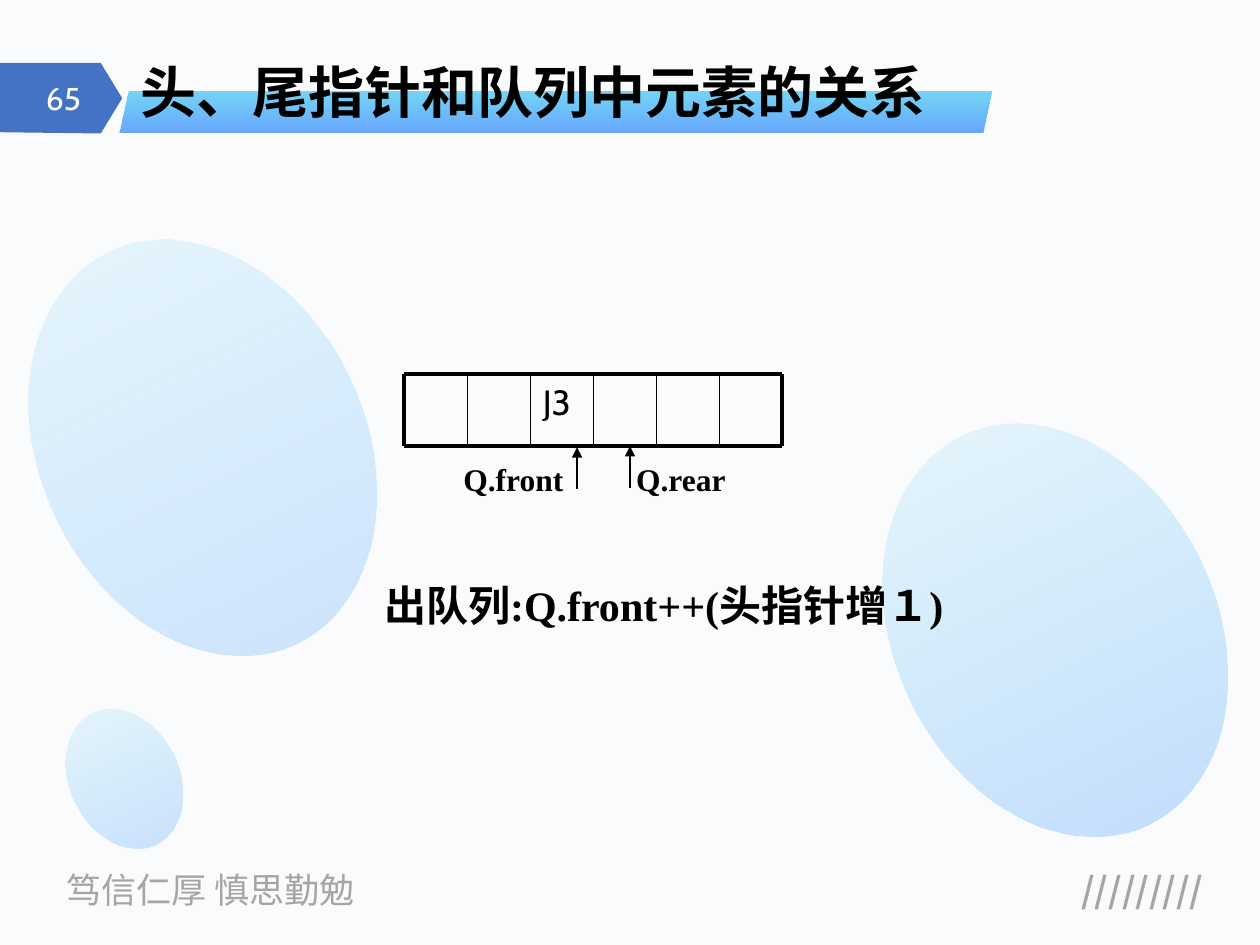
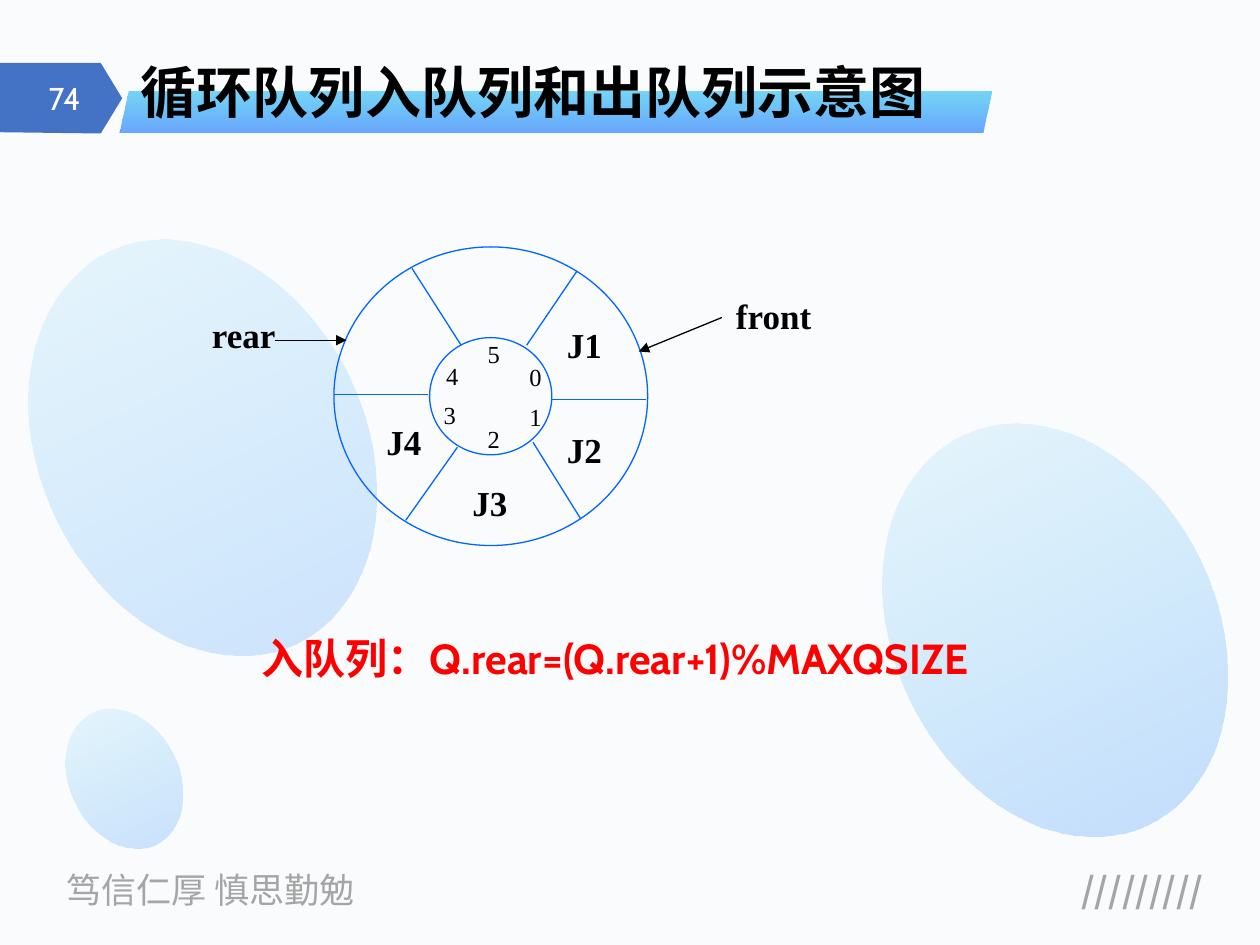
import pptx
import pptx.dml.color
import pptx.enum.shapes
import pptx.enum.text
import pptx.oxml.ns
import pptx.util
from lxml import etree

Inches, Pt = pptx.util.Inches, pptx.util.Pt
MSO_SHAPE = pptx.enum.shapes.MSO_SHAPE
PP_ALIGN = pptx.enum.text.PP_ALIGN
MSO_ANCHOR = pptx.enum.text.MSO_ANCHOR
qn = pptx.oxml.ns.qn

SANS, LATIN, SERIF = "Noto Sans CJK SC", "Cabin", "Times New Roman"
BLACK, WHITE, GREY, RED = "000000", "FFFFFF", "A5A5A5", "FF0000"
PAPER, TAG_BLUE, RING_BLUE = "F9FBFD", "4472C4", "0066FF"
DEEP, SKY = "3385FF", "00B0F0"


def rgb(value):
    return pptx.dml.color.RGBColor.from_string(value)


def write(tf, text, size=20, font=SERIF, color=BLACK, bold=False,
          align=PP_ALIGN.LEFT, spacing=None):
    p = tf.paragraphs[0]
    p.alignment = align
    if spacing:
        p.line_spacing = spacing
    r = p.add_run()
    r.text = text
    r.font.size, r.font.bold, r.font.name = Pt(size), bold, font
    r.font.color.rgb = rgb(color)
    etree.SubElement(r._r.get_or_add_rPr(), qn("a:ea"), typeface=SANS)


class Deck:
    """Holds the shared style and draws on the current slide."""

    def __init__(self):
        self.prs = pptx.Presentation()
        self.prs.slide_width, self.prs.slide_height = Inches(10), Inches(7.5)
        self.slide = None

    def text(self, x, y, w, h, text, anchor=MSO_ANCHOR.TOP, wrap=False,
             inset=0.1, **fmt):
        tf = self.slide.shapes.add_textbox(
            Inches(x), Inches(y), Inches(w), Inches(h)).text_frame
        tf.word_wrap = wrap
        tf.vertical_anchor = anchor
        tf.margin_left = tf.margin_right = Inches(inset)
        write(tf, text, **fmt)

    def label(self, x, y, w, h, text, **fmt):
        self.text(x, y, w, h, text, anchor=MSO_ANCHOR.MIDDLE, inset=0,
                  align=PP_ALIGN.CENTER, **fmt)

    def shape(self, kind, x, y, w, h):
        s = self.slide.shapes.add_shape(
            kind, Inches(x), Inches(y), Inches(w), Inches(h))
        s.shadow.inherit = False
        return s

    def gradient(self, kind, x, y, w, h, stops):
        s = self.shape(kind, x, y, w, h)
        s.line.fill.background()
        s.fill.gradient()
        s.fill.gradient_angle = 270
        for stop, (color, _) in zip(s.fill.gradient_stops, stops):
            stop.color.rgb = rgb(color)
        colors = s._element.spPr.iter(qn("a:srgbClr"))
        for element, (_, opacity) in zip(colors, stops):
            etree.SubElement(element, qn("a:alpha"), val=str(opacity * 1000))
        return s

    def ring(self, x, y, w, h):
        s = self.shape(MSO_SHAPE.OVAL, x, y, w, h)
        s.fill.background()
        s.line.color.rgb = rgb(RING_BLUE)
        s.line.width = Pt(0.75)

    def polygon(self, points, color):
        start, *rest = [(Inches(x), Inches(y)) for x, y in points]
        builder = self.slide.shapes.build_freeform(*start)
        builder.add_line_segments(rest, close=True)
        s = builder.convert_to_shape()
        s.shadow.inherit = False
        s.fill.solid()
        s.fill.fore_color.rgb = rgb(color)
        s.line.fill.background()

    def line(self, x1, y1, x2, y2, color=BLACK, width=0.75, arrow=False):
        c = self.slide.shapes.add_connector(
            pptx.enum.shapes.MSO_CONNECTOR.STRAIGHT,
            Inches(x1), Inches(y1), Inches(x2), Inches(y2))
        c.line.color.rgb = rgb(color)
        c.line.width = Pt(width)
        if arrow:
            etree.SubElement(c.get_or_add_ln(), qn("a:tailEnd"), type="triangle")
        etree.SubElement(c._element.spPr, qn("a:effectLst"))

    def new_slide(self, number, title):
        self.slide = self.prs.slides.add_slide(self.prs.slide_layouts[6])
        fill = self.slide.background.fill
        fill.solid()
        fill.fore_color.rgb = rgb(PAPER)
        self.text(0.43, 6.84, 2.7, 0.44, "笃信仁厚 慎思勤勉", font=SANS,
                  color=GREY, wrap=True)
        self.text(7.67, 6.84, 1.98, 0.44, "/////////", font=SANS, color=GREY,
                  bold=True, align=PP_ALIGN.RIGHT, wrap=True)
        for x, y, w, h, opacity in [(0.55, 5.6, 0.87, 1.16, 24),
                                    (7.09, 3.29, 2.56, 3.42, 27),
                                    (0.32, 1.83, 2.58, 3.44, 22)]:
            bubble = self.gradient(MSO_SHAPE.OVAL, x, y, w, h,
                                   [(DEEP, opacity), (SKY, 8)])
            bubble.rotation = 154.4
        self.polygon([(0, 0.5), (0.8, 0.5), (0.97, 0.78), (0.8, 1.06),
                      (0, 1.05)], TAG_BLUE)
        self.text(0.1, 0.58, 0.64, 0.4, str(number), size=18, font=LATIN,
                  color=WHITE, align=PP_ALIGN.RIGHT, wrap=True,
                  anchor=MSO_ANCHOR.MIDDLE)
        band = self.gradient(MSO_SHAPE.PARALLELOGRAM, 0.95, 0.73, 6.92, 0.32,
                             [(SKY, 52), (DEEP, 73)])
        band.adjustments[0] = 0.23
        self.text(1.02, 0.4, 6.85, 0.65, title, size=32, font=SANS, bold=True,
                  spacing=0.9, wrap=True, anchor=MSO_ANCHOR.BOTTOM)


def linear_queue(deck):
    deck.new_slide(65, "头、尾指针和队列中元素的关系")
    left, top, bottom, cell, count = 3.21, 2.97, 3.54, 0.5, 6
    right = left + cell * count
    for y in (top, bottom):
        deck.line(left, y, right, y, width=2.25)
    for i in range(count + 1):
        x = left + cell * i
        deck.line(x, top, x, bottom, width=2.25 if i in (0, count) else 1)
    deck.text(left + 2 * cell, top, cell, bottom - top, "J3", font=LATIN)
    deck.text(3.58, 3.6, 1.1, 0.4, "Q.front", size=18, bold=True, wrap=True)
    deck.text(4.95, 3.6, 0.92, 0.4, "Q.rear", size=18, bold=True)
    deck.line(4.58, 3.88, 4.58, 3.55, arrow=True)
    deck.line(5, 3.87, 5, 3.54, arrow=True)
    deck.text(2.95, 4.55, 4.66, 0.5, "出队列:Q.front++(头指针增１)", size=24,
              bold=True, wrap=True)


def circular_queue(deck):
    deck.new_slide(74, "循环队列入队列和出队列示意图")
    deck.ring(2.65, 1.96, 2.49, 2.37)
    deck.ring(3.41, 2.68, 0.97, 0.93)
    for spoke in [(2.65, 3.13, 3.4, 3.13), (4.37, 3.17, 5.13, 3.17),
                  (3.27, 2.13, 3.66, 2.74), (4.23, 3.51, 4.61, 4.12),
                  (4.58, 2.15, 4.18, 2.74), (3.63, 3.55, 3.22, 4.13)]:
        deck.line(*spoke, color=RING_BLUE)
    index_places = [(4.1, 2.81), (4.1, 3.13), (3.77, 3.3),
                    (3.42, 3.11), (3.44, 2.8), (3.77, 2.63)]
    for i, (x, y) in enumerate(index_places):
        deck.label(x, y, 0.3, 0.36, str(i), size=14)
    for name, x, y in [("J1", 4.4, 2.52), ("J2", 4.4, 3.35), ("J3", 3.65, 3.77)]:
        deck.text(x, y, 0.48, 0.43, name, bold=True)
    deck.label(2.98, 3.27, 0.45, 0.47, "J4", bold=True)
    deck.label(1.57, 2.49, 0.73, 0.33, "rear", bold=True)
    deck.line(2.18, 2.7, 2.75, 2.7, arrow=True)
    deck.label(5.77, 2.27, 0.74, 0.47, "front", bold=True)
    deck.line(5.73, 2.52, 5.07, 2.79, arrow=True)
    deck.text(1.98, 5.02, 7.57, 0.46, "入队列：Q.rear=(Q.rear+1)%MAXQSIZE",
              size=24, font=LATIN, color=RED, bold=True, spacing=0.9, wrap=True)


def main():
    deck = Deck()
    linear_queue(deck)
    circular_queue(deck)
    deck.prs.save("out.pptx")


if __name__ == "__main__":
    main()
